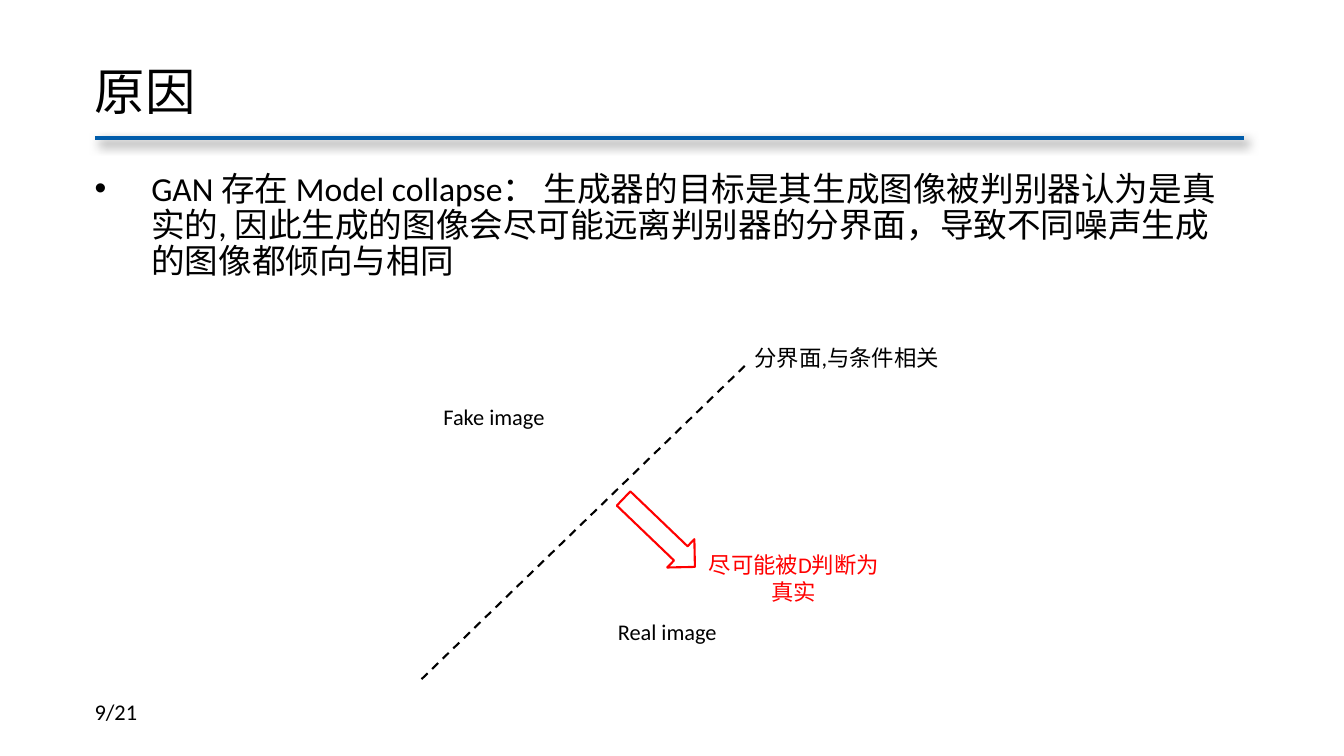
from lxml import etree
from pptx import Presentation
from pptx.dml.color import RGBColor
from pptx.enum.dml import MSO_LINE
from pptx.enum.shapes import MSO_CONNECTOR, MSO_SHAPE
from pptx.enum.text import MSO_ANCHOR, MSO_AUTO_SIZE, PP_ALIGN
from pptx.oxml.ns import qn
from pptx.util import Pt

LEFT, CENTER = PP_ALIGN.LEFT, PP_ALIGN.CENTER
TOP, MIDDLE = MSO_ANCHOR.TOP, MSO_ANCHOR.MIDDLE
STRAIGHT = MSO_CONNECTOR.STRAIGHT
COLORS = {"black": "000000", "blue": "005CAA", "red": "FF0000"}
FONT = "Calibri"

presentation = Presentation()
presentation.slide_width = Pt(960)
presentation.slide_height = Pt(540)
slide = presentation.slides.add_slide(presentation.slide_layouts[5])


def write_text(text, left, top, width, height, shape=None, size=16, color="black",
               align=LEFT, anchor=TOP, line_spacing=None):
    """Fill the given shape, or a new text box, with one paragraph per line."""
    if shape is None:
        shape = slide.shapes.add_textbox(0, 0, 0, 0)
    shape.left, shape.top, shape.width, shape.height = map(Pt, (left, top, width, height))
    frame = shape.text_frame
    frame.word_wrap = True
    frame.auto_size = MSO_AUTO_SIZE.NONE
    frame.vertical_anchor = anchor
    frame.text = text
    for paragraph in frame.paragraphs:
        paragraph.alignment = align
        paragraph.line_spacing = line_spacing
        font = paragraph.runs[0].font
        font.name = FONT
        font.size = Pt(size)
        font.color.rgb = RGBColor.from_string(COLORS[color])
    return shape


def add_line(start, end, color, width):
    line = slide.shapes.add_connector(STRAIGHT, *map(Pt, start + end))
    line.line.color.rgb = RGBColor.from_string(COLORS[color])
    line.line.width = Pt(width)
    effects = etree.SubElement(line._element.spPr, qn("a:effectLst"))
    return line, effects


# Title, rule and page number
title_rule, rule_effects = add_line((68, 98.8), (888.5, 98.8), "blue", 3)
shadow = etree.SubElement(rule_effects, qn("a:outerShdw"), blurRad=str(Pt(8)),
                          dist=str(Pt(4)), dir=str(44 * 60000), algn="tl", rotWithShape="0")
shadow_color = etree.SubElement(shadow, qn("a:srgbClr"), val=COLORS["black"])
etree.SubElement(shadow_color, qn("a:alpha"), val="54000")

write_text("原因", 60.5, 15, 828, 104.5, shape=slide.shapes.title, size=36,
           anchor=MIDDLE, line_spacing=0.9)
write_text("9/21", 60.5, 494, 216, 28.8, anchor=MIDDLE)

# Explanation
explanation = write_text(
    "GAN 存在 Model collapse： 生成器的目标是其生成图像被判别器认为是真实的, "
    "因此生成的图像会尽可能远离判别器的分界面，导致不同噪声生成的图像都倾向与相同",
    60.5, 119.5, 828, 342.7, size=24, line_spacing=0.9)
properties = explanation.text_frame.paragraphs[0]._p.get_or_add_pPr()
properties.set("marL", str(Pt(40.5)))
properties.set("indent", str(Pt(-40.5)))
etree.SubElement(properties, qn("a:buFont"), typeface="Arial")
etree.SubElement(properties, qn("a:buChar"), char="•")

# Decision boundary diagram
boundary, boundary_effects = add_line((532, 261.4), (300.2, 486), "black", 1.5)
boundary.line.dash_style = MSO_LINE.DASH

arrow = slide.shapes.add_shape(MSO_SHAPE.RIGHT_ARROW, Pt(435.6), Pt(366.5), Pt(70.6), Pt(28))
arrow.rotation = 43.8
arrow.shadow.inherit = False
arrow.fill.background()
arrow.line.color.rgb = RGBColor.from_string(COLORS["red"])
arrow.line.width = Pt(1.5)

write_text("Fake image", 309.6, 284.4, 143.3, 26.6)
write_text("Real image", 434.2, 437.8, 143.3, 26.6)
write_text("尽可能被D判断为\n真实", 481, 390.2, 172, 46, color="red", align=CENTER)
write_text("分界面,与条件相关", 532, 242.6, 177, 26.6)

presentation.save("out.pptx")
